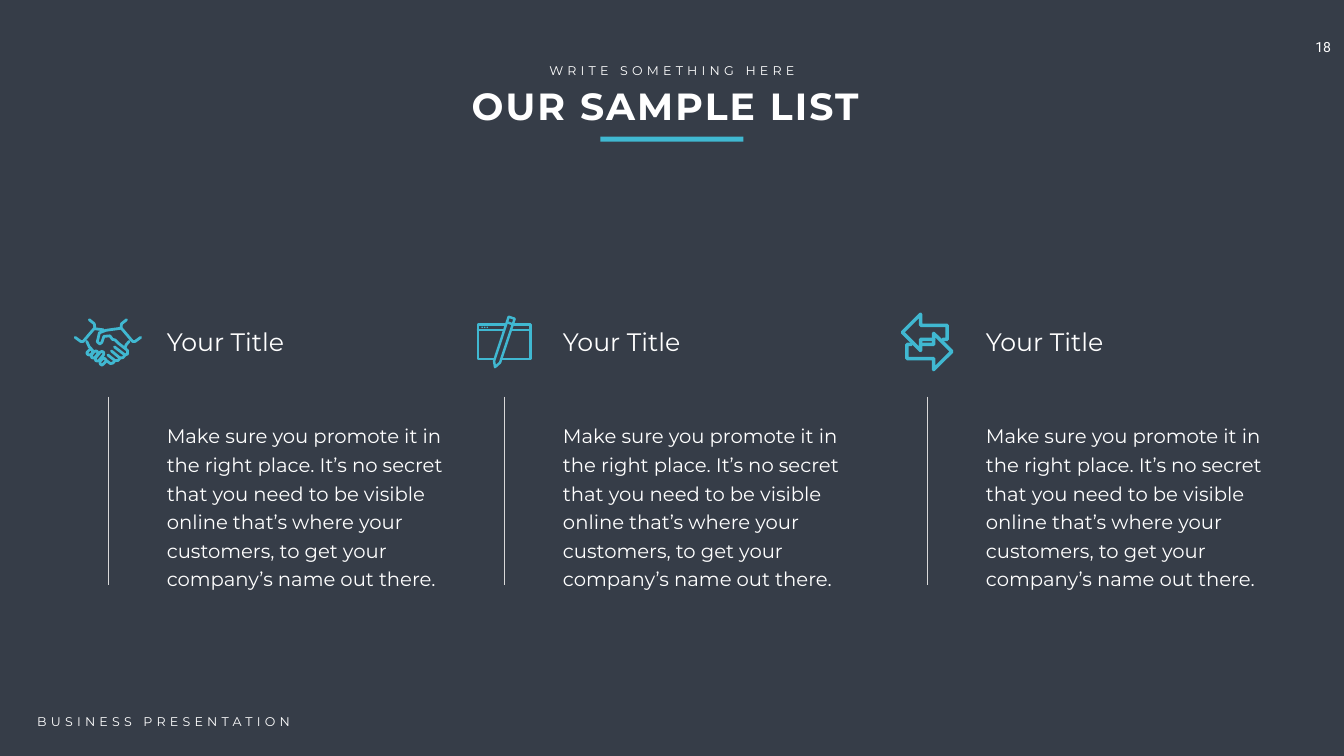
"""Build a dark slide with three icon-led list columns."""
from dataclasses import dataclass
from math import atan2, cos, pi, sin

from lxml import etree
from pptx import Presentation
from pptx.dml.color import RGBColor
from pptx.enum.shapes import MSO_CONNECTOR, MSO_SHAPE
from pptx.enum.text import MSO_ANCHOR, MSO_AUTO_SIZE, PP_ALIGN
from pptx.oxml.ns import qn
from pptx.util import Inches, Pt

LEFT, CENTER = PP_ALIGN.LEFT, PP_ALIGN.CENTER
TOP, GROW = MSO_ANCHOR.TOP, MSO_AUTO_SIZE.SHAPE_TO_FIT_TEXT
RECT, OVAL = MSO_SHAPE.RECTANGLE, MSO_SHAPE.OVAL
STRAIGHT = MSO_CONNECTOR.STRAIGHT
TITLE_ONLY = 5


@dataclass(frozen=True)
class Theme:
    background: str = "363D48"
    accent: str = "40B8D1"
    text: str = "FFFFFF"
    rule: str = "D9D9D9"
    font: str = "Montserrat"
    number_font: str = "Roboto"
    title: int = 54
    heading: int = 36
    body: int = 28
    number: int = 20
    label: int = 18
    leading: float = 40.8


class Deck:
    def __init__(self, theme):
        self.theme = theme
        self.prs = Presentation()
        self.prs.slide_width, self.prs.slide_height = Inches(26.66), Inches(15)
        self.slide = self.prs.slides.add_slide(self.prs.slide_layouts[TITLE_ONLY])
        fill = self.slide.background.fill
        fill.solid()
        fill.fore_color.rgb = RGBColor.from_string(theme.background)

    def x(self, share):
        return round(self.prs.slide_width * share / 100)

    def y(self, share):
        return round(self.prs.slide_height * share / 100)

    def box(self, left, top, width, height):
        return self.x(left), self.y(top), self.x(width), self.y(height)

    def add_text(self, sp, text, size, align=LEFT, font=None, bold=False,
                 tracking=0, leading=None, wrap=True):
        tf = sp.text_frame
        tf.word_wrap, tf.auto_size, tf.vertical_anchor = wrap, GROW, TOP
        p = tf.paragraphs[0]
        p.alignment = align
        if leading:
            p.line_spacing = Pt(leading)
        r = p.add_run()
        r.text = text
        r.font.size, r.font.bold = Pt(size), bold
        r.font.name = font or self.theme.font
        r.font.color.rgb = RGBColor.from_string(self.theme.text)
        if tracking:
            r._r.get_or_add_rPr().set("spc", str(tracking * 100))

    def title(self, box, text):
        sp = self.slide.shapes.title
        sp.left, sp.top, sp.width, sp.height = self.box(*box)
        self.add_text(sp, text, self.theme.title, CENTER, bold=True, tracking=3)

    def text(self, box, text, size, **style):
        sp = self.slide.shapes.add_textbox(*self.box(*box))
        self.add_text(sp, text, size, **style)

    def block(self, kind, box):
        sp = self.slide.shapes.add_shape(kind, *self.box(*box))
        sp.shadow.inherit = False
        sp.fill.solid()
        sp.fill.fore_color.rgb = RGBColor.from_string(self.theme.accent)
        sp.line.fill.background()

    def rule(self, x, top, bottom):
        sp = self.slide.shapes.add_connector(
            STRAIGHT, self.x(x), self.y(top), self.x(x), self.y(bottom))
        sp.line.color.rgb = RGBColor.from_string(self.theme.rule)
        sp.line.width = Pt(0.5)
        etree.SubElement(sp._element.spPr, qn("a:effectLst"))

    def icon(self, x, y, strokes, weight):
        unit = self.prs.slide_width / 2666
        builder = self.slide.shapes.build_freeform(*strokes[0][0], scale=unit)
        for i, stroke in enumerate(strokes):
            if i:
                builder.move_to(*stroke[0])
            builder.add_line_segments(stroke[1:], close=False)
        sp = builder.convert_to_shape(self.x(x), self.y(y))
        sp.shadow.inherit = False
        sp.fill.background()
        sp.line.color.rgb = RGBColor.from_string(self.theme.accent)
        sp.line.width = Pt(weight)
        ln = sp.line._get_or_add_ln()
        ln.set("cap", "rnd")
        etree.SubElement(ln, qn("a:round"))


def mirror(points):
    return [(-x, y) for x, y in points]


def turn(points):
    return [(-x, -y) for x, y in points]


def pill(x0, y0, x1, y1, radius=4.5, steps=4):
    angle = atan2(y1 - y0, x1 - x0)
    points = []
    for x, y, start in ((x1, y1, angle - pi / 2), (x0, y0, angle + pi / 2)):
        for i in range(steps + 1):
            a = start + pi * i / steps
            points.append((x + radius * cos(a), y + radius * sin(a)))
    return points + points[:1]


CUFF = [(-65, -9), (-54, -1), (-49, -1), (-26, -28), (-27, -36), (-37, -44)]
HANDSHAKE = [
    CUFF, mirror(CUFF),
    [(-25, -26), (-9, -24)], [(-42, -1), (-37, 10), (-33, 14)],
    [(42, -1), (36, 6), (34, 12)],
    [(25, -27), (-4, -23), (-17, -18), (-21, 0), (-16, 4), (-12, 1), (-8, -11),
     (4, -12), (9, -5), (14, -4), (20, 2), (39, 17), (39, 24), (34, 26), (13, 10)],
    [(34, 26), (30, 31), (24, 32), (7, 18)],
    [(24, 32), (20, 37), (14, 37), (0, 26)],
    [(14, 37), (10, 42), (5, 43), (-3, 37)],
    pill(-34, 19, -37, 22), pill(-24, 22, -29, 28),
    pill(-12, 23, -21, 34), pill(-8, 37, -12, 41),
]
WINDOW = [
    [(2, -35), (-52, -35), (-52, 34), (-20, 34)], [(-52, -24), (0, -24)],
    [(19, -35), (52, -35), (52, 34), (-5, 34)], [(16, -24), (52, -24)],
    [(-20, 38), (9, -50), (21, -46), (-8, 41), (-18, 50), (-20, 38)],
    [(6, -39), (17, -35)],
]
ARROW = [(13, -5), (-13, -5), (-13, 17), (-49, -19), (-13, -55),
         (-13, -33), (40, -33), (40, -5), (31, -5)]
ARROWS = [ARROW, turn(ARROW)]
COLUMNS = [(8.03, HANDSHAKE, 4), (37.51, WINDOW, 3.5), (68.98, ARROWS, 5)]
HEADING = "Your Title"
BODY = ("Make sure you promote it in the right place. It’s no secret that you need "
        "to be visible online that’s where your customers, to get your company’s "
        "name out there.")


def main():
    theme = Theme()
    deck = Deck(theme)
    deck.text((96.75, 4.8, 3.41, 2.93), "18", theme.number, align=CENTER,
              font=theme.number_font, wrap=False)
    deck.title((27.34, 10.6, 45.27, 6.73), "OUR SAMPLE LIST ")
    deck.text((40.28, 7.93, 19.43, 2.67), "WRITE SOMETHING HERE", theme.label,
              align=CENTER, tracking=6, wrap=False)
    deck.block(RECT, (44.67, 18.07, 10.65, 0.67))
    for x, strokes, weight in COLUMNS:
        deck.icon(x, 45.23, strokes, weight)
        deck.text((x + 4.01, 55.13, 21.49, 23.33), BODY, theme.body,
                  leading=theme.leading)
        deck.text((x + 4.01, 42.87, 18.04, 4.73), HEADING, theme.heading)
        deck.rule(x, 52.47, 77.4)
    for i in range(3):
        deck.block(OVAL, (35.82 + 0.19 * i, 43.2, 0.11, 0.2))
    deck.text((2.4, 94.13, 22.69, 2.67), "BUSINESS PRESENTATION", theme.label,
              tracking=6)
    deck.prs.save("out.pptx")


if __name__ == "__main__":
    main()
